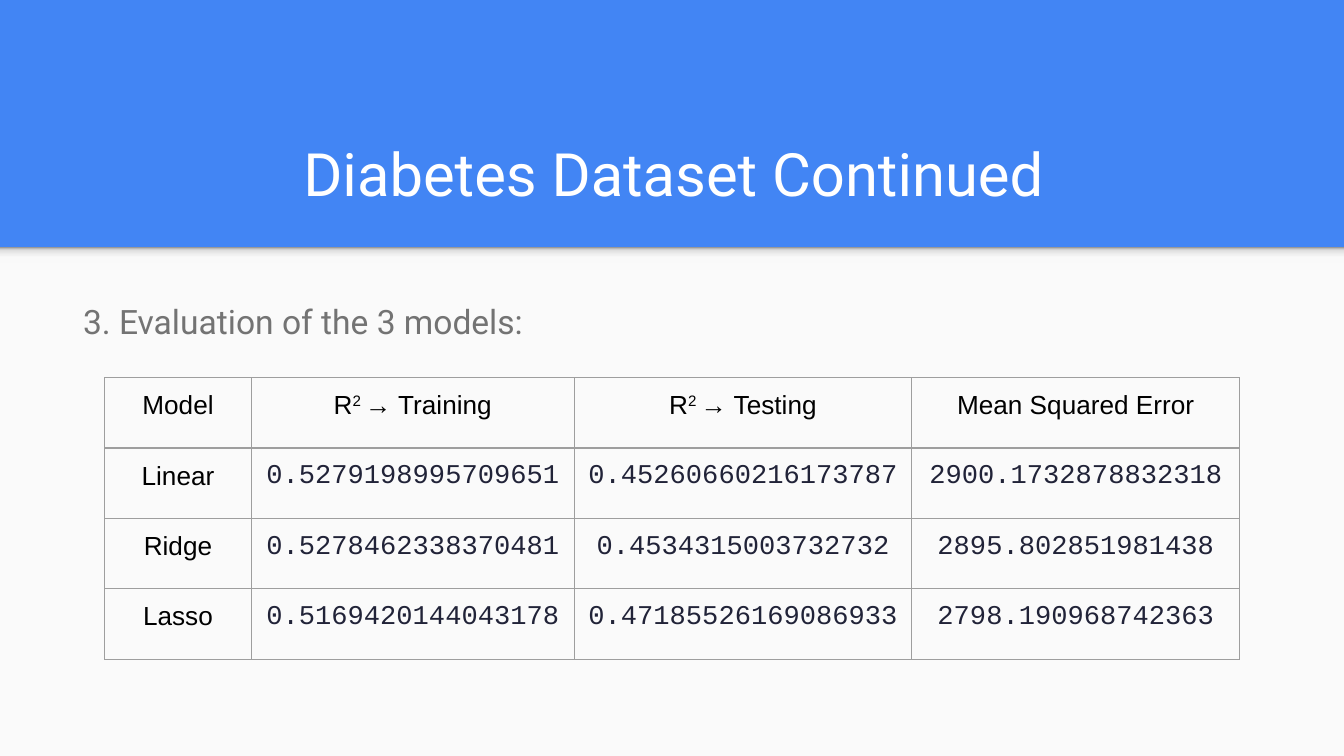
from lxml.etree import SubElement
from pptx import Presentation
from pptx.dml.color import RGBColor
from pptx.enum.shapes import MSO_SHAPE
from pptx.enum.text import MSO_ANCHOR, PP_ALIGN
from pptx.oxml import parse_xml
from pptx.oxml.ns import nsdecls, qn
from pptx.util import Cm, Pt

INSET = Cm(0.25)
HEAD = {"name": "Roboto", "size": Pt(32), "color": "FFFFFF"}
LEAD = {"name": "Roboto", "size": Pt(18), "color": "737373"}
LABEL = {"name": "Arial", "size": Pt(14), "color": "000000"}
VALUE = {"name": "Courier New", "size": Pt(14.5), "color": "212338"}
FADE = [(0, "F9F9F9"), (36, "F9F9F9"), (80, "DEDEDE"), (100, "999999")]
WIDTHS = [2.77, 6.1, 6.38, 6.2]
# A tuple holds runs; every second run is raised
ROWS = [
    ["Model", ("R", "2 ", "→ Training"), ("R", "2 ", "→ Testing"),
     "Mean Squared Error"],
    ["Linear", "0.5279198995709651", "0.45260660216173787",
     "2900.1732878832318"],
    ["Ridge", "0.5278462338370481", "0.4534315003732732",
     "2895.802851981438"],
    ["Lasso", "0.5169420144043178", "0.47185526169086933",
     "2798.190968742363"],
]


def paint(fill, color):
    fill.solid()
    fill.fore_color.rgb = RGBColor.from_string(color)


def place(shape, *box):
    for name, size in zip(("left", "top", "width", "height"), box):
        setattr(shape, name, Cm(size))


def pad(item):
    for side in ("left", "top", "right", "bottom"):
        setattr(item, "margin_" + side, INSET)


def write(frame, text, style, align):
    para = frame.paragraphs[0]
    para.alignment = align
    parts = (text,) if isinstance(text, str) else text
    for i, part in enumerate(parts):
        run = para.add_run()
        run.text = part
        for name, value in style.items():
            if name == "color":
                paint(run.font.fill, value)
            else:
                setattr(run.font, name, value)
        if i % 2:
            run._r.get_or_add_rPr().set("baseline", "30000")
    return para


def add_rect(slide, *box):
    rect = slide.shapes.add_shape(MSO_SHAPE.RECTANGLE, *map(Cm, box))
    rect.shadow.inherit = False
    rect.line.fill.background()
    return rect


def fade(shape):
    stops = "".join(
        f'<a:gs pos="{pos * 1000}"><a:srgbClr val="{color}"/></a:gs>'
        for pos, color in FADE)
    shape.fill.background()
    props = shape._element.spPr
    props.replace(props.find(qn("a:noFill")), parse_xml(
        f'<a:gradFill {nsdecls("a")} rotWithShape="1"><a:gsLst>{stops}'
        '</a:gsLst><a:lin ang="16200000" scaled="0"/></a:gradFill>'))


def frame_cell(cell, color):
    props = cell._tc.get_or_add_tcPr()
    for side in ("lnL", "lnR", "lnT", "lnB"):
        line = SubElement(props, qn("a:" + side), w=str(Pt(0.75)))
        solid = SubElement(line, qn("a:solidFill"))
        SubElement(solid, qn("a:srgbClr"), val=color)


def add_grid(slide):
    shape = slide.shapes.add_table(
        len(ROWS), len(WIDTHS), Cm(1.98), Cm(7.14),
        Cm(sum(WIDTHS)), Cm(1.33 * len(ROWS)))
    table = shape.table
    table.first_row = table.horz_banding = False
    for col, width in zip(table.columns, WIDTHS):
        col.width = Cm(width)
    for r, row in enumerate(ROWS):
        for c, text in enumerate(row):
            cell = table.cell(r, c)
            pad(cell)
            frame_cell(cell, "9E9E9E")
            cell.fill.background()
            write(cell.text_frame, text, VALUE if r and c else LABEL,
                  PP_ALIGN.CENTER)


def main():
    deck = Presentation()
    deck.slide_width, deck.slide_height = Cm(25.4), Cm(14.29)
    slide = deck.slides.add_slide(deck.slide_layouts[5])

    # Blue backdrop, pale panel and its soft top edge
    paint(slide.background.fill, "4285F4")
    paint(add_rect(slide, 0, 4.67, 25.4, 9.62).fill, "FAFAFA")
    fade(add_rect(slide, 0, 4.67, 25.4, 0.3))

    # Title
    title = slide.shapes.title
    place(title, 1.32, 2.06, 22.83, 2.13)
    pad(title.text_frame)
    title.text_frame.vertical_anchor = MSO_ANCHOR.BOTTOM
    write(title.text_frame, "Diabetes Dataset Continued", HEAD,
          PP_ALIGN.CENTER)

    # Lead line
    lead = slide.shapes.add_textbox(*map(Cm, (1.32, 5.33, 22.83, 1.68)))
    lead.text_frame.word_wrap = True
    pad(lead.text_frame)
    para = write(lead.text_frame, "3. Evaluation of the 3 models:", LEAD,
                 PP_ALIGN.LEFT)
    para.line_spacing, para.space_after = 1.15, Pt(16)

    # Scores
    add_grid(slide)
    deck.save("out.pptx")


main()
